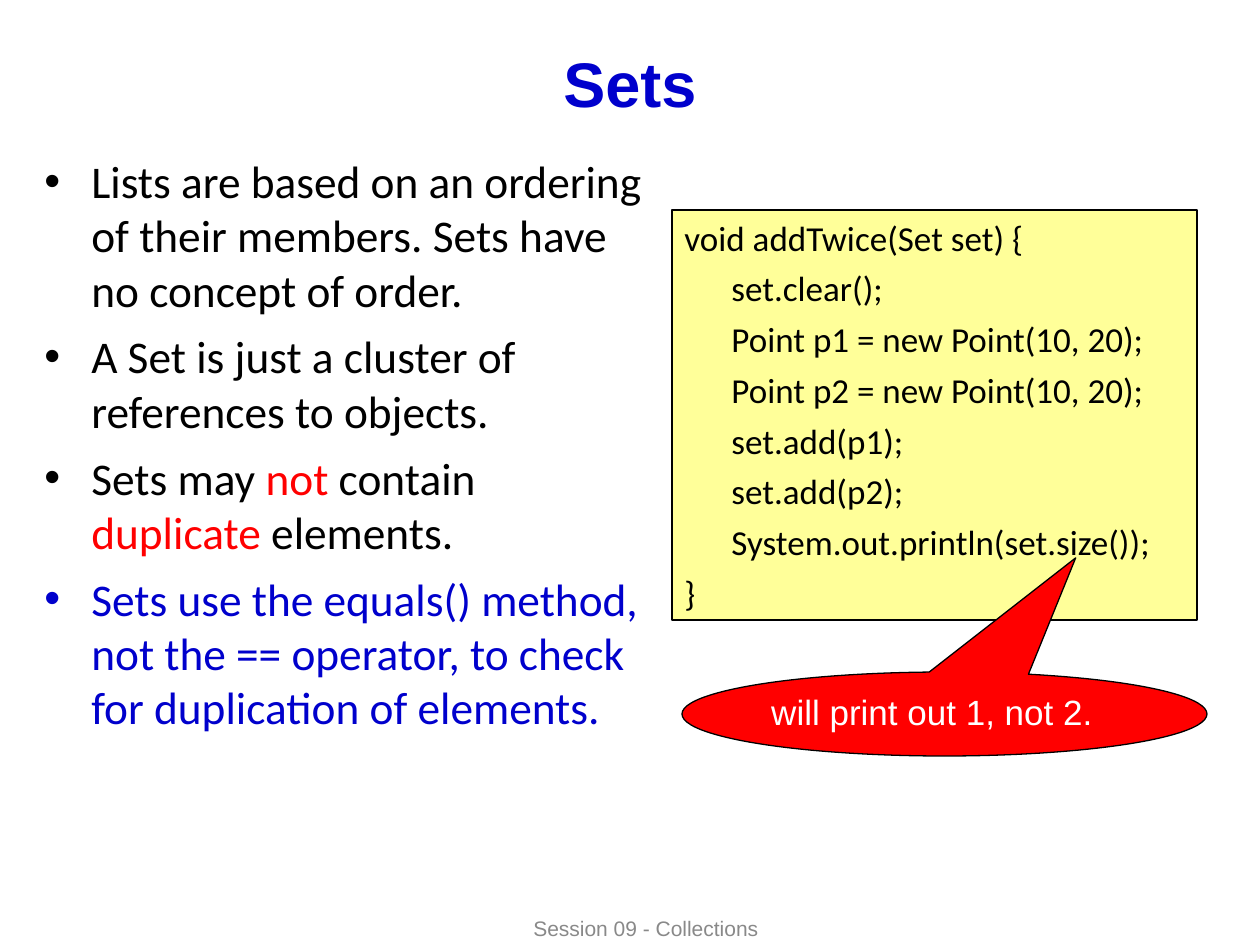
from pptx import Presentation
from pptx.dml.color import RGBColor
from pptx.enum.shapes import MSO_SHAPE
from pptx.enum.text import MSO_ANCHOR, PP_ALIGN
from pptx.oxml import parse_xml
from pptx.oxml.ns import nsdecls
from pptx.util import Pt

RECTANGLE = MSO_SHAPE.RECTANGLE
CALLOUT = MSO_SHAPE.OVAL_CALLOUT
TOP, MIDDLE = MSO_ANCHOR.TOP, MSO_ANCHOR.MIDDLE
LEFT, CENTER = PP_ALIGN.LEFT, PP_ALIGN.CENTER

EMU_PER_PX = 914400 / 126
HANGING = 47

THEME = {
    "black": "000000", "blue": "0000CC", "red": "FF0000",
    "white": "FFFFFF", "gray": "898989", "yellow": "FFFF99",
    "title": {"name": "Arial", "size": Pt(36), "bold": True},
    "body": {"name": "Calibri", "size": Pt(25.9)},
    "code": {"name": "Calibri", "size": Pt(20)},
    "callout": {"name": "Arial", "size": Pt(20)},
    "footer": {"name": "Arial", "size": Pt(12)},
}


def px(*lengths):
    return [round(length * EMU_PER_PX) for length in lengths]


def write(shape, paragraphs, style, align=LEFT, anchor=TOP, before=0, hanging=0, bullet=False):
    """Fill a shape with paragraphs, each a list of (text, colour) runs."""
    frame = shape.text_frame
    frame.word_wrap = True
    frame.vertical_anchor = anchor
    for index, runs in enumerate(paragraphs):
        paragraph = frame.add_paragraph() if index else frame.paragraphs[0]
        paragraph.alignment = align
        paragraph.space_before = Pt(before)
        properties = paragraph._p.get_or_add_pPr()
        if hanging:
            indent, = px(hanging)
            properties.set("marL", str(indent))
            properties.set("indent", str(-indent))
        if bullet:
            properties.append(parse_xml(f'<a:buFont {nsdecls("a")} typeface="Arial"/>'))
            properties.append(parse_xml(f'<a:buChar {nsdecls("a")} char="•"/>'))
        for text, color in runs:
            run = paragraph.add_run()
            run.text = text
            for name, value in THEME[style].items():
                setattr(run.font, name, value)
            run.font.color.rgb = RGBColor.from_string(THEME[color])


presentation = Presentation()
presentation.slide_width, presentation.slide_height = px(1260, 945)
slide = presentation.slides.add_slide(presentation.slide_layouts[6])
shapes = slide.shapes

# Footer and title
footer = shapes.add_textbox(*px(336, 911, 620, 34))
write(footer, [[("Session 09 - Collections", "gray")]], "footer", CENTER, MIDDLE)
title = shapes.add_textbox(*px(63, 38, 1134, 88))
write(title, [[("Sets", "blue")]], "title", CENTER, MIDDLE)

# Properties of sets
points = [
    [("Lists are based on an ordering of their members. Sets have no concept of order.", "black")],
    [("A Set is just a cluster of references to objects.", "black")],
    [("Sets may ", "black"), ("not", "red"), (" contain ", "black"),
     ("duplicate", "red"), (" elements.", "black")],
    [("Sets use the equals() method, not the == operator, "
      "to check for duplication of elements.", "blue")],
]
body = shapes.add_textbox(*px(32, 147, 630, 640))
write(body, points, "body", before=7, hanging=HANGING, bullet=True)

# Code listing and its callout
code = shapes.add_shape(RECTANGLE, *px(672, 210, 525, 410))
callout = shapes.add_shape(CALLOUT, *px(682, 672, 525, 84))
callout.adjustments[0] = 0.25
callout.adjustments[1] = -1.86
for panel, fill in ((code, "yellow"), (callout, "red")):
    panel.shadow.inherit = False
    panel.fill.solid()
    panel.fill.fore_color.rgb = RGBColor.from_string(THEME[fill])
    panel.line.color.rgb = RGBColor.from_string(THEME["black"])
    panel.line.width = Pt(0.75)

code_lines = [
    "void addTwice(Set set) {",
    "\tset.clear();",
    "\tPoint p1 = new Point(10, 20);",
    "\tPoint p2 = new Point(10, 20);",
    "\tset.add(p1);",
    "\tset.add(p2);",
    "\tSystem.out.println(set.size());",
    "}",
]
write(code, [[(line, "black")] for line in code_lines], "code", before=5, hanging=HANGING)
write(callout, [[("will print out 1, not 2.", "white")]], "callout")

presentation.save("out.pptx")
